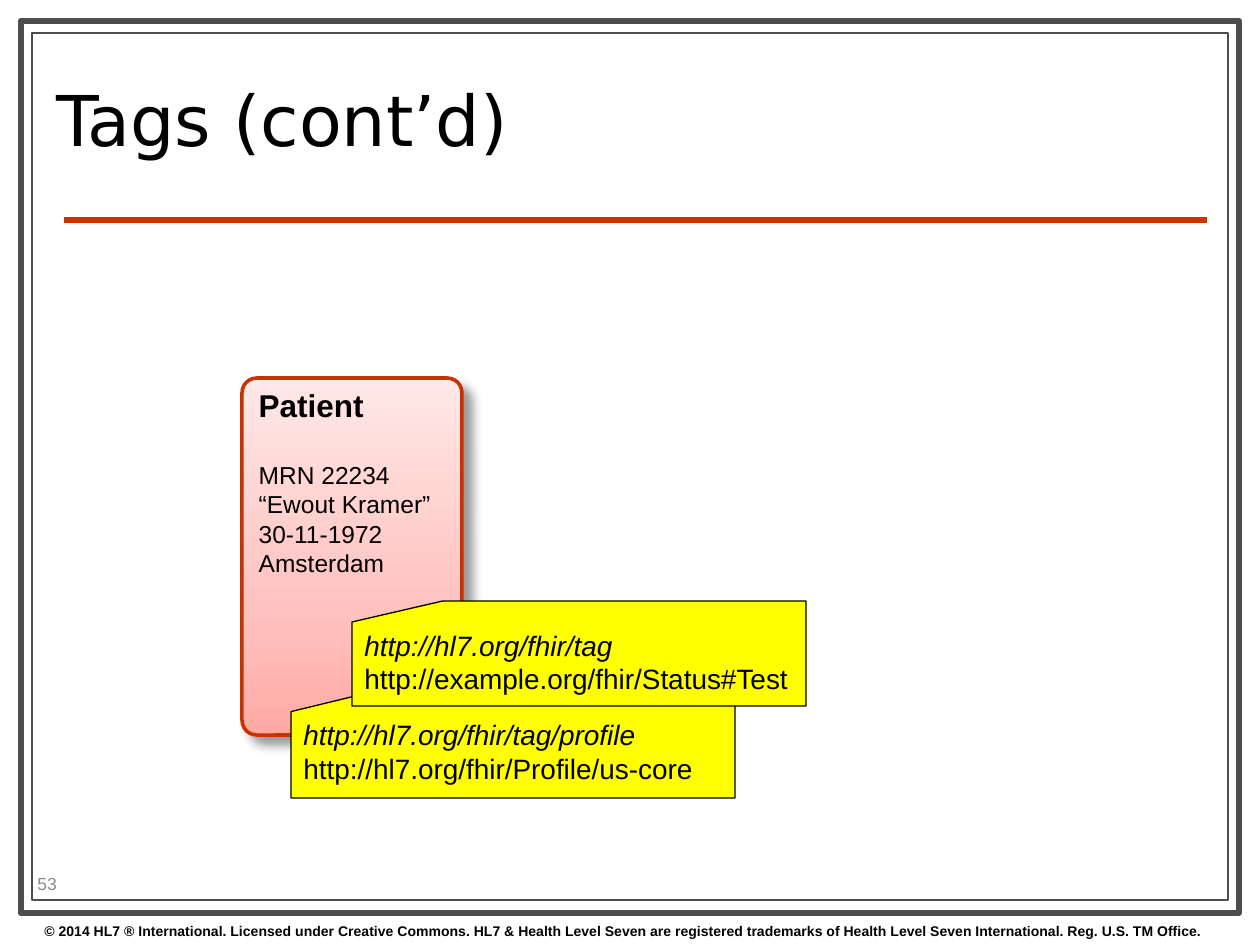
"""Slide showing a patient record with two tags attached."""
from copy import deepcopy

from lxml.etree import SubElement
from pptx import Presentation
from pptx.dml.color import RGBColor
from pptx.enum.shapes import MSO_CONNECTOR, MSO_SHAPE
from pptx.enum.text import MSO_ANCHOR, PP_ALIGN
from pptx.oxml.ns import qn
from pptx.util import Pt

SCALE = 9144000 / 1260
COLORS = {
    "white": "FFFFFF", "frame": "4D4D4D", "rule": "CC3300", "text": "000000",
    "number": "8C8C8C", "record": "C83200", "tag": "FFFF00",
}
RECORD_GRADIENT = [(0, "FFA9A5"), (0.35, "FFC2BF"), (1, "FFE8E7")]

FRAMES = [((21, 21, 1218, 892), 3.5), ((32, 33, 1196, 867), 0.75)]
RULE = (64, 220, 1207, 220)
COPYRIGHT = (
    "© 2014 HL7 ® International. Licensed under Creative Commons. "
    "HL7 & Health Level Seven are registered trademarks of "
    "Health Level Seven International. Reg. U.S. TM Office."
)
LABELS = [
    ((32, 916, 1216, 29), COPYRIGHT, {"size": 8, "bold": True}, MSO_ANCHOR.TOP, 1),
    ((44, 45, 903, 163), "Tags (cont’d)", {"size": 40, "font": "DejaVu Sans"}, MSO_ANCHOR.MIDDLE, 0.8),
    ((25, 868, 100, 30), "53", {"size": 10, "color": "number"}, MSO_ANCHOR.MIDDLE, 1),
]
RECORD_BOX = (242, 378, 220, 357)
RECORD_TITLE = "Patient"
RECORD_DETAILS = ["MRN 22234", "“Ewout Kramer”", "30-11-1972", "Amsterdam"]
TAGS = [
    ((291, 690, 444, 108), "http://hl7.org/fhir/tag/profile", "http://hl7.org/fhir/Profile/us-core"),
    ((352, 601, 454, 105), "http://hl7.org/fhir/tag", "http://example.org/fhir/Status#Test"),
]


def px(*lengths):
    return [round(length * SCALE) for length in lengths]


def rgb(name):
    return RGBColor.from_string(COLORS[name])


def add_panel(slide, preset, box, line, width, fill):
    panel = slide.shapes.add_shape(preset, *px(*box))
    panel.shadow.inherit = False
    panel.fill.solid()
    panel.fill.fore_color.rgb = rgb(fill)
    panel.line.color.rgb = rgb(line)
    panel.line.width = Pt(width)
    return panel


def write(shape, lines, anchor=MSO_ANCHOR.TOP):
    frame = shape.text_frame
    frame.word_wrap = True
    frame.vertical_anchor = anchor
    frame.text = "\n".join(text for text, _ in lines)
    for paragraph, (_, style) in zip(frame.paragraphs, lines):
        paragraph.alignment = PP_ALIGN.LEFT
        for run in paragraph.runs:
            run.font.name = style.get("font", "Arial")
            run.font.size = Pt(style["size"])
            run.font.bold = style.get("bold", False)
            run.font.italic = style.get("italic", False)
            run.font.color.rgb = rgb(style.get("color", "text"))
    return frame


def shade(panel, gradient):
    panel.fill.gradient()
    panel.fill.gradient_angle = 90
    stop_list = panel.fill._xPr.find(qn("a:gradFill")).find(qn("a:gsLst"))
    stop_list.insert(1, deepcopy(stop_list[0]))
    for stop, (position, color) in zip(panel.fill.gradient_stops, gradient):
        stop.position = position
        stop.color.rgb = RGBColor.from_string(color)


def cast_shadow(panel, opacity, blur, distance, angle):
    effects = panel._element.spPr.find(qn("a:effectLst"))
    shadow = SubElement(
        effects, qn("a:outerShdw"), blurRad=str(Pt(blur)), dist=str(Pt(distance)),
        dir=str(angle * 60000), algn="tl", rotWithShape="0",
    )
    color = SubElement(shadow, qn("a:srgbClr"), val=COLORS["text"])
    SubElement(color, qn("a:alpha"), val=str(opacity * 1000))


def add_rule(slide):
    rule = slide.shapes.add_connector(MSO_CONNECTOR.STRAIGHT, *px(*RULE))
    rule.line.color.rgb = rgb("rule")
    rule.line.width = Pt(3)
    SubElement(rule._element.spPr, qn("a:effectLst"))


def add_record(slide):
    record = add_panel(slide, MSO_SHAPE.ROUNDED_RECTANGLE, RECORD_BOX, "record", 2, "white")
    record.adjustments[0] = 0.067
    shade(record, RECORD_GRADIENT)
    cast_shadow(record, 40, 6, 7, 45)
    details = [(text, {"size": 14}) for text in RECORD_DETAILS]
    frame = write(record, [(RECORD_TITLE, {"size": 18, "bold": True})] + details)
    frame.margin_top = px(4)[0]
    frame.paragraphs[1].space_before = Pt(20.5)


def main():
    presentation = Presentation()
    presentation.slide_width, presentation.slide_height = px(1260, 945)
    slide = presentation.slides.add_slide(presentation.slide_layouts[6])
    for box, width in FRAMES:
        add_panel(slide, MSO_SHAPE.RECTANGLE, box, "frame", width, "white")
    add_rule(slide)
    for box, text, style, anchor, spacing in LABELS:
        label = slide.shapes.add_textbox(*px(*box))
        write(label, [(text, style)], anchor).paragraphs[0].line_spacing = spacing
    add_record(slide)
    for box, scheme, term in TAGS:
        tag = add_panel(slide, MSO_SHAPE.FLOWCHART_CARD, box, "text", 0.75, "tag")
        write(tag, [(scheme, {"size": 16, "italic": True}), (term, {"size": 16})])
    presentation.save("out.pptx")


if __name__ == "__main__":
    main()
